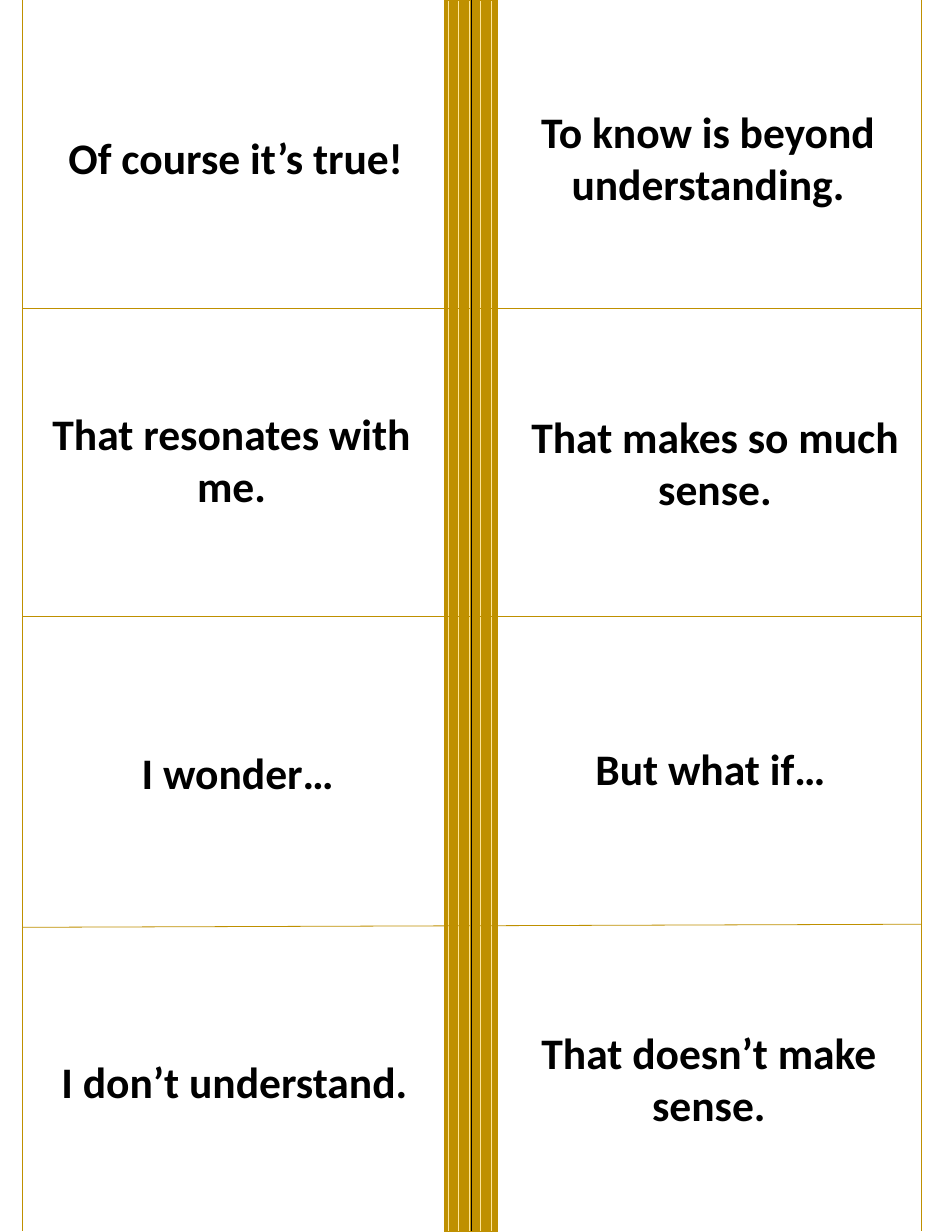
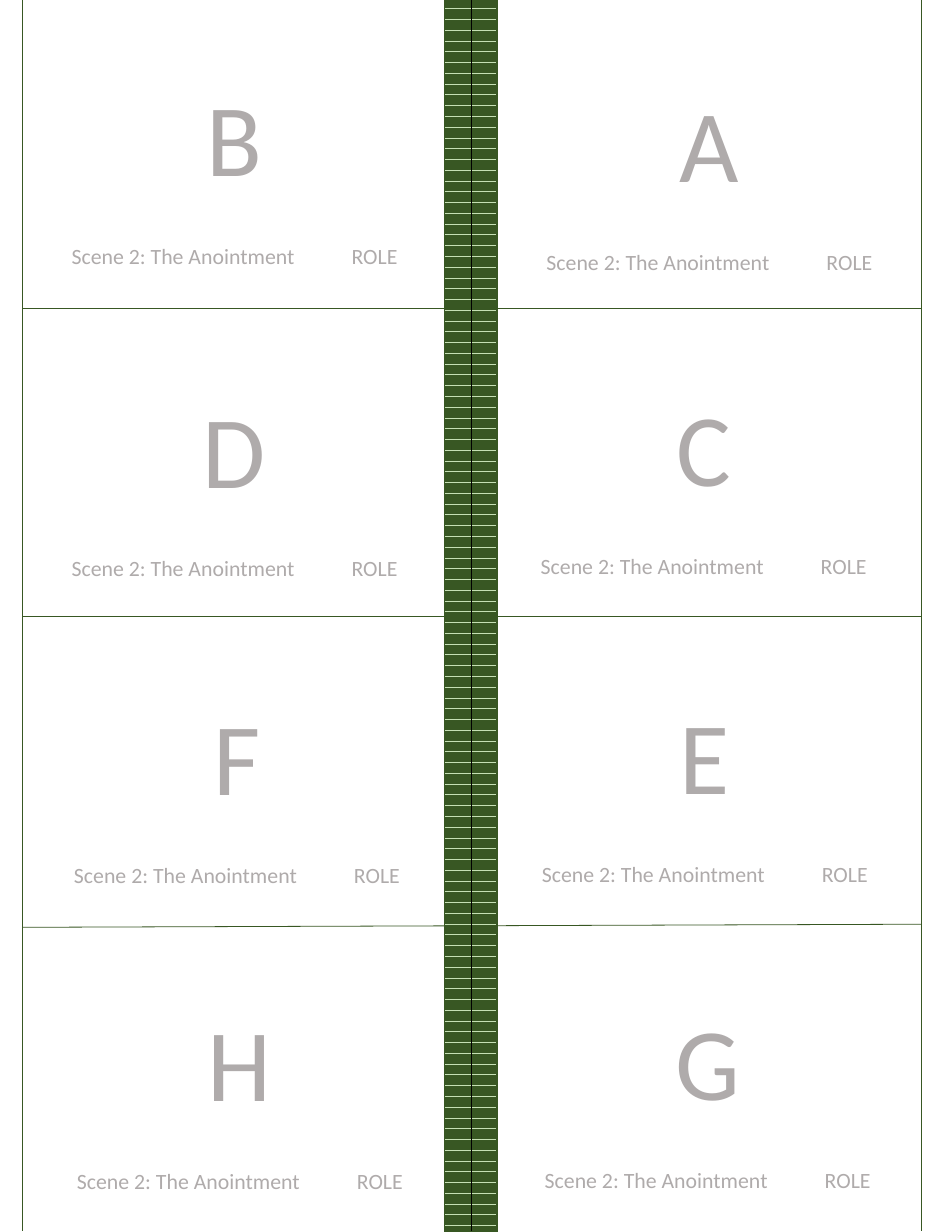
from lxml.etree import SubElement
from pptx import Presentation
from pptx.dml.color import RGBColor
from pptx.enum.dml import MSO_PATTERN
from pptx.enum.shapes import MSO_CONNECTOR, MSO_SHAPE
from pptx.enum.text import MSO_ANCHOR, PP_ALIGN
from pptx.oxml.ns import qn
from pptx.util import Cm, Pt

COLORS = {
    "black": "000000",
    "white": "FFFFFF",
    "gray": "AFABAB",
    "gold": "BF9000",
    "pale gold": "FFE699",
    "green": "385723",
    "pale green": "C5E0B4",
}

SLIDE_WIDTH, SLIDE_HEIGHT = 21.59, 27.94
CARD_HEIGHT = 6.63
GRID_LEFT, GRID_RIGHT, GRID_BOTTOM = 0.51, 20.9, 27.91
SPINE_LEFT, SPINE_WIDTH, FOLD = 10.08, 1.19, 10.69
ROW_ENDS = [(6.99, 6.99), (13.97, 13.97), (21.03, 20.96)]

PHRASE_FORMAT = {"name": "Calibri", "size": Pt(28), "bold": True}
LETTER_FORMAT = {"name": "Calibri", "size": Pt(66)}
CAPTION_FORMAT = {"name": "Calibri", "size": Pt(14)}
CAPTION = "Scene 2: The Anointment\tROLE"
CAPTION_GAP = Pt(29.3)
CAPTION_TAB = Cm(6.35)

# Each card: text, left, top, width in centimetres
PHRASES = [
    ("Of course it’s true!", 0.76, 0.25, 9.17),
    ("To know is beyond understanding.", 11.28, 0.25, 9.55),
    ("That resonates with me.", 0.46, 7.09, 9.58),
    ("That makes so much sense.", 11.35, 7.16, 9.73),
    ("I wonder…", 0.69, 14.2, 9.4),
    ("But what if…", 11.4, 14.1, 9.42),
    ("I don’t understand.", 0.69, 21.21, 9.25),
    ("That doesn’t make sense.", 11.4, 21.13, 9.35),
]
# The last value is the space below the caption
ROLES = [
    ("B", 0.66, 0.28, 9.32, 0.82),
    ("A", 11.3, 0.25, 9.58, 0.64),
    ("D", 0.66, 7.19, 9.32, 0.64),
    ("C", 11.3, 7.14, 9.32, 0.64),
    ("F", 0.64, 14.15, 9.47, 0.64),
    ("E", 11.25, 14.12, 9.47, 0.64),
    ("H", 0.64, 21.08, 9.6, 0.64),
    ("G", 11.25, 21.06, 9.6, 0.64),
]


def color(name):
    return RGBColor.from_string(COLORS[name])


def apply_format(target, values):
    for attribute, value in values.items():
        setattr(target, attribute, value)


def add_line(slide, start, end, color_name):
    points = [Cm(value) for value in (*start, *end)]
    line = slide.shapes.add_connector(MSO_CONNECTOR.STRAIGHT, *points)
    line.line.color.rgb = color(color_name)
    line.line.width = Pt(0.5)
    SubElement(line._element.spPr, qn("a:effectLst"))


def add_spine(slide, pattern, main, pale):
    """Add the patterned band between the two columns of cards."""
    box = [Cm(value) for value in (SPINE_LEFT, 0, SPINE_WIDTH, SLIDE_HEIGHT)]
    spine = slide.shapes.add_shape(MSO_SHAPE.RECTANGLE, *box)
    spine.shadow.inherit = False
    spine.fill.patterned()
    spine.fill.pattern = pattern
    spine.fill.fore_color.rgb = color(main)
    spine.fill.back_color.rgb = color(pale)
    spine.line.color.rgb = color(main)
    spine.line.width = Pt(1)


def add_cutting_grid(slide, main):
    for left_end, right_end in ROW_ENDS:
        add_line(slide, (GRID_LEFT, left_end), (GRID_RIGHT, right_end), main)
    for x, name in ((GRID_LEFT, main), (GRID_RIGHT, main), (FOLD, "black")):
        add_line(slide, (x, 0), (x, GRID_BOTTOM), name)


def add_card_frame(slide, left, top, width, anchor):
    box = [Cm(value) for value in (left, top, width, CARD_HEIGHT)]
    frame = slide.shapes.add_textbox(*box).text_frame
    apply_format(frame, {"word_wrap": True, "vertical_anchor": anchor})
    return frame


def write_paragraph(paragraph, text, values, color_name):
    paragraph.alignment = PP_ALIGN.CENTER
    run = paragraph.add_run()
    run.text = text
    apply_format(run.font, values)
    run.font.color.rgb = color(color_name)


def add_phrase_card(slide, text, left, top, width):
    frame = add_card_frame(slide, left, top, width, MSO_ANCHOR.MIDDLE)
    write_paragraph(frame.paragraphs[0], text, PHRASE_FORMAT, "black")


def add_role_card(slide, letter, left, top, width, space_below):
    frame = add_card_frame(slide, left, top, width, MSO_ANCHOR.BOTTOM)
    frame.margin_bottom = Cm(space_below)
    write_paragraph(frame.paragraphs[0], letter, LETTER_FORMAT, "gray")
    caption = frame.add_paragraph()
    write_paragraph(caption, CAPTION, CAPTION_FORMAT, "gray")
    caption.space_before = CAPTION_GAP
    tab_list = SubElement(caption._p.get_or_add_pPr(), qn("a:tabLst"))
    SubElement(tab_list, qn("a:tab"), pos=str(int(CAPTION_TAB)), algn="l")


def add_card_sheet(presentation, pattern, main, pale, add_card, cards):
    slide = presentation.slides.add_slide(presentation.slide_layouts[6])
    slide.background.fill.solid()
    slide.background.fill.fore_color.rgb = color("white")
    add_spine(slide, pattern, main, pale)
    add_cutting_grid(slide, main)
    for card in cards:
        add_card(slide, *card)


def main():
    presentation = Presentation()
    presentation.slide_width = Cm(SLIDE_WIDTH)
    presentation.slide_height = Cm(SLIDE_HEIGHT)
    add_card_sheet(presentation, MSO_PATTERN.DARK_VERTICAL,
                   "gold", "pale gold", add_phrase_card, PHRASES)
    add_card_sheet(presentation, MSO_PATTERN.DARK_HORIZONTAL,
                   "green", "pale green", add_role_card, ROLES)
    presentation.save("out.pptx")


if __name__ == "__main__":
    main()
